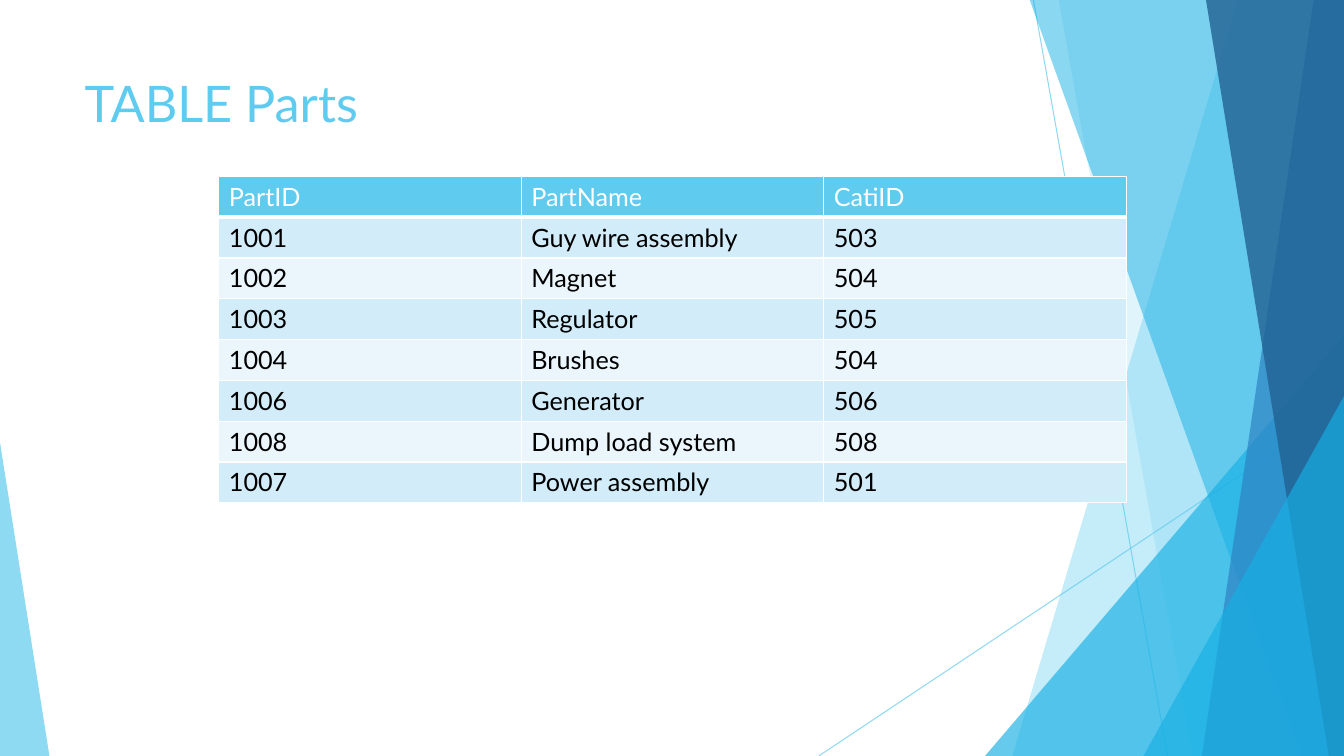
import pptx
import pptx.dml.color
import pptx.enum.shapes
import pptx.enum.text
import pptx.oxml
import pptx.oxml.ns
import pptx.util
from pptx.util import Inches

COLORS = {
    "sky": "5FCBEF", "cyan": "17B0E4", "blue": "2E83C3", "navy": "226292",
    "band": "D2ECF9", "pale": "EAF6FC", "white": "FFFFFF", "black": "000000",
}
FONT = "Lato"
WIDTH, HEIGHT = 13.33, 7.5
NAMESPACE = pptx.oxml.ns.nsdecls("a")


def rgb(color):
    return pptx.dml.color.RGBColor.from_string(COLORS[color])


class SlideBuilder:
    """Holds the text style and the current slide."""

    def __init__(self, slide, font):
        self.slide = slide
        self.shapes = slide.shapes
        self.font = font

    def set_alpha(self, shape, percent):
        for color in shape._element.spPr.iter(pptx.oxml.ns.qn("a:srgbClr")):
            color.append(pptx.oxml.parse_xml(
                f'<a:alpha {NAMESPACE} val="{percent * 1000}"/>'))

    def paint(self, shape, color, alpha):
        shape.shadow.inherit = False
        shape.fill.solid()
        shape.fill.fore_color.rgb = rgb(color)
        shape.line.fill.background()
        self.set_alpha(shape, alpha)

    def line(self, start, end, color, alpha):
        connector = self.shapes.add_connector(
            pptx.enum.shapes.MSO_CONNECTOR.STRAIGHT,
            *map(Inches, (*start, *end)))
        connector.line.width = pptx.util.Pt(0.75)
        connector.line.color.rgb = rgb(color)
        self.set_alpha(connector, alpha)
        connector._element.spPr.append(
            pptx.oxml.parse_xml(f"<a:effectLst {NAMESPACE}/>"))

    def side_panel(self, top_left, bottom_left, color, alpha):
        """Panel from a slanted left edge to the right edge of the slide."""
        top = -0.01
        corners = [(top_left, top), (WIDTH, top), (WIDTH, HEIGHT), (bottom_left, HEIGHT)]
        points = [(Inches(x), Inches(y)) for x, y in corners]
        builder = self.shapes.build_freeform(*points[0])
        builder.add_line_segments(points[1:], close=True)
        self.paint(builder.convert_to_shape(), color, alpha)

    def corner_triangle(self, left, top, width, apex, color, alpha):
        """Triangle standing on the bottom edge of the slide."""
        triangle = self.shapes.add_shape(
            pptx.enum.shapes.MSO_SHAPE.ISOSCELES_TRIANGLE,
            *map(Inches, (left, top, width, HEIGHT - top)))
        triangle.adjustments[0] = apex
        self.paint(triangle, color, alpha)

    def add_run(self, paragraph, text, size, color):
        run = paragraph.add_run()
        run.text = text
        run.font.name = self.font
        run.font.size = pptx.util.Pt(size)
        run.font.color.rgb = rgb(color)

    def title(self, text, left, top, width, height):
        box = self.shapes.add_textbox(*map(Inches, (left, top, width, height)))
        box.text_frame.word_wrap = True
        box.text_frame.vertical_anchor = pptx.enum.text.MSO_ANCHOR.TOP
        self.add_run(box.text_frame.paragraphs[0], text, 36, "sky")

    def set_borders(self, cell, bottom_width):
        properties = cell._tc.get_or_add_tcPr()
        widths = {"lnL": 1, "lnR": 1, "lnT": 1, "lnB": bottom_width}
        for index, (side, width) in enumerate(widths.items()):
            properties.insert(index, pptx.oxml.parse_xml(
                f'<a:{side} {NAMESPACE} w="{pptx.util.Pt(width)}"><a:solidFill>'
                f'<a:srgbClr val="{COLORS["white"]}"/></a:solidFill></a:{side}>'))

    def table(self, rows, left, top, width, height):
        table = self.shapes.add_table(
            len(rows), len(rows[0]), *map(Inches, (left, top, width, height))).table
        for row_index, values in enumerate(rows):
            header = row_index == 0
            fill = "sky" if header else "band" if row_index % 2 else "pale"
            for column_index, value in enumerate(values):
                cell = table.cell(row_index, column_index)
                cell.fill.solid()
                cell.fill.fore_color.rgb = rgb(fill)
                self.set_borders(cell, 3 if header else 1)
                self.add_run(cell.text_frame.paragraphs[0], value, 18,
                             "white" if header else "black")


presentation = pptx.Presentation()
presentation.slide_width = Inches(WIDTH)
presentation.slide_height = Inches(HEIGHT)
builder = SlideBuilder(
    presentation.slides.add_slide(presentation.slide_layouts[6]), FONT)

# Thin crossing lines
builder.line((10.25, 0), (11.58, HEIGHT), "sky", 70)
builder.line((WIDTH, 4.03), (8.12, HEIGHT), "sky", 70)

# Translucent facets, from back to front
builder.side_panel(12.28, 10.04, "sky", 36)
builder.side_panel(10.5, 11.83, "sky", 20)
builder.corner_triangle(9.77, 3.33, 3.56, 1, "cyan", 66)
builder.side_panel(10.21, 12.91, "cyan", 50)
builder.side_panel(13.03, 11.92, "blue", 70)
builder.side_panel(11.96, 13.18, "navy", 80)
builder.corner_triangle(11.34, 3.93, 1.99, 1, "cyan", 66)
builder.corner_triangle(0, 4.39, 0.49, 0, "sky", 70)

# Title and parts table
builder.title("TABLE Parts", 0.74, 0.67, 9.4, 1.44)
PARTS = [
    ("PartID", "PartName", "CatiID"),
    ("1001", "Guy wire assembly", "503"),
    ("1002", "Magnet", "504"),
    ("1003", "Regulator", "505"),
    ("1004", "Brushes", "504"),
    ("1006", "Generator", "506"),
    ("1008", "Dump load system", "508"),
    ("1007", "Power assembly", "501"),
]
builder.table(PARTS, 2.17, 1.75, 9, 3.24)

presentation.save("out.pptx")
